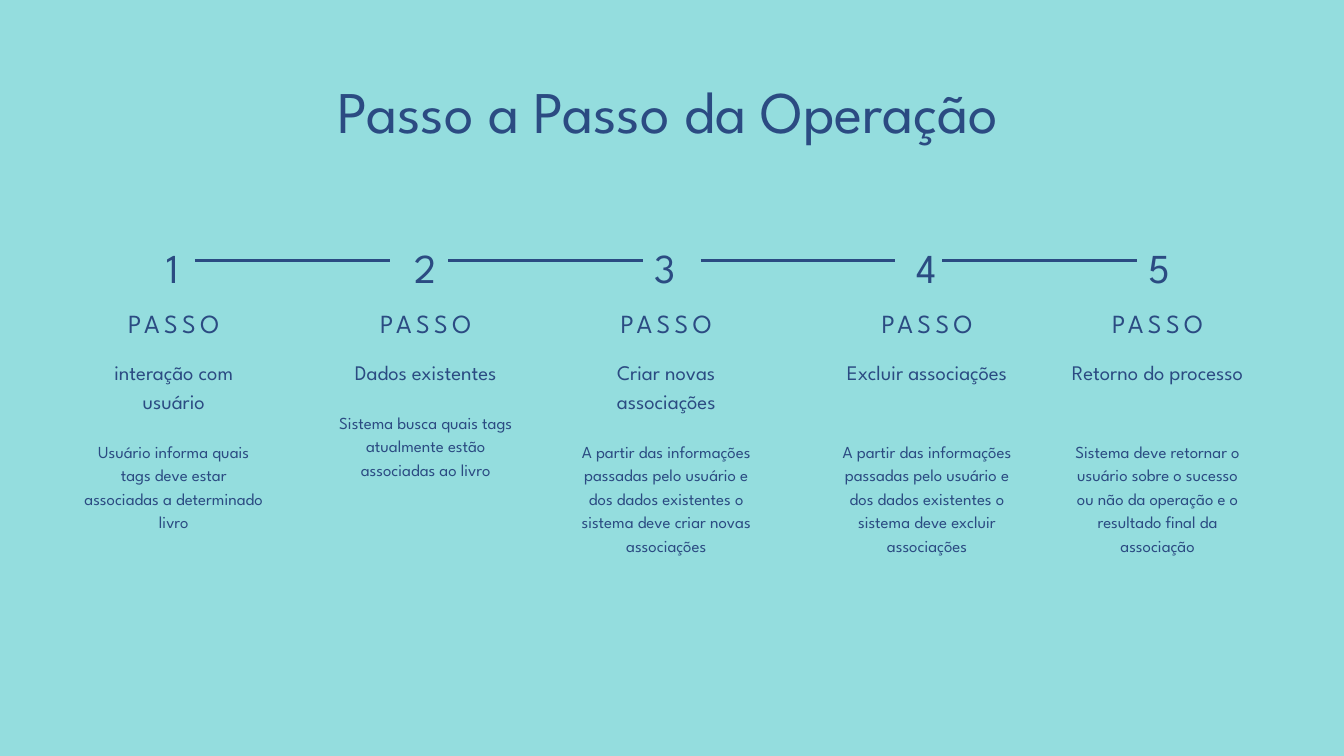
from dataclasses import dataclass

from lxml.etree import SubElement
from pptx import Presentation
from pptx.dml.color import RGBColor
from pptx.enum.shapes import MSO_CONNECTOR as Connector
from pptx.enum.text import MSO_ANCHOR as Anchor, PP_ALIGN as Align
from pptx.oxml.ns import qn
from pptx.util import Pt

COLORS = {"background": "94DDDE", "ink": "2B4B82"}
FONT = "League Spartan"


@dataclass(frozen=True)
class Style:
    size: float
    leading: float
    spacing: float = 0


@dataclass(frozen=True)
class Step:
    left: float
    number_left: float
    heading: str
    body: str
    heading_lines: int = 2
    body_lines: int = 5


TITLE = Style(63.2, 75.9)
NUMBER = Style(44, 61.6, 7.5)
LABEL = Style(28, 39.2, 4.8)
HEADING = Style(22.2, 31.1)
BODY = Style(18, 25.2)

# Rows and column sizes
NUMBER_TOP, LABEL_TOP, HEADING_TOP = 250.6, 323.3, 380.9
BODY_GAP = 26.4
STEP_WIDTH, NUMBER_WIDTH = 193.7, 47.5
LINE_Y, LINE_LENGTH = 279.5, 208.8
LINE_STARTS = (208.8, 480.2, 750.6, 1009.4)

STEPS = (
    Step(89.3, 161.3, "interação com usuário",
         "Usuário informa quais tags deve estar associadas a determinado livro",
         body_lines=4),
    Step(359.3, 432, "Dados existentes",
         "Sistema busca quais tags atualmente estão associadas ao livro",
         heading_lines=1, body_lines=3),
    Step(617, 689, "Criar novas associações",
         "A partir das informações passadas pelo usuário e dos dados existentes "
         "o sistema deve criar novas associações"),
    Step(896.4, 969.1, "Excluir associações",
         "A partir das informações passadas pelo usuário e dos dados existentes "
         "o sistema deve excluir associações"),
    Step(1143.4, 1218.2, "Retorno do processo",
         "Sistema deve retornar o usuário sobre o sucesso ou não da operação "
         "e o resultado final da associação"),
)


def rgb(name: str) -> RGBColor:
    return RGBColor.from_string(COLORS[name])


def write(sp, text: str, style: Style) -> None:
    tf = sp.text_frame
    tf.word_wrap = True
    tf.vertical_anchor = Anchor.TOP
    tf.margin_left = tf.margin_top = tf.margin_right = tf.margin_bottom = 0
    p = tf.paragraphs[0]
    p.alignment = Align.CENTER
    p.line_spacing = Pt(style.leading)
    p.font.name = FONT
    p.font.size = Pt(style.size)
    p.font.color.rgb = rgb("ink")
    r = p.add_run()
    r.text = text
    if style.spacing:
        r._r.get_or_add_rPr().set("spc", str(round(style.spacing * 100)))


def add_text(s, left: float, top: float, width: float, text: str,
             style: Style, lines: int = 1) -> None:
    sp = s.shapes.add_textbox(Pt(left), Pt(top), Pt(width),
                              Pt(style.leading * lines))
    write(sp, text, style)


def add_step(s, number: int, step: Step) -> None:
    add_text(s, step.number_left, NUMBER_TOP, NUMBER_WIDTH, str(number), NUMBER)
    add_text(s, step.left, LABEL_TOP, STEP_WIDTH, "PASSO", LABEL)
    add_text(s, step.left, HEADING_TOP, STEP_WIDTH, step.heading, HEADING,
             step.heading_lines)
    body_top = HEADING_TOP + step.heading_lines * HEADING.leading + BODY_GAP
    add_text(s, step.left, body_top, STEP_WIDTH, step.body, BODY,
             step.body_lines)


def add_line(s, left: float) -> None:
    line = s.shapes.add_connector(Connector.STRAIGHT, Pt(left), Pt(LINE_Y),
                                  Pt(left + LINE_LENGTH), Pt(LINE_Y))
    line.line.color.rgb = rgb("ink")
    line.line.width = Pt(3)
    SubElement(line._element.spPr, qn("a:effectLst"))


def main() -> None:
    prs = Presentation()
    prs.slide_width, prs.slide_height = Pt(1440), Pt(810)
    s = prs.slides.add_slide(prs.slide_layouts[5])
    s.background.fill.solid()
    s.background.fill.fore_color.rgb = rgb("background")

    # Title
    title = s.shapes.title
    title.left, title.top = Pt(80.6), Pt(79.9)
    title.width, title.height = Pt(1270.8), Pt(76.3)
    write(title, "Passo a Passo da Operação", TITLE)

    # Numbered steps and the lines between them
    for number, step in enumerate(STEPS, 1):
        add_step(s, number, step)
    for left in LINE_STARTS:
        add_line(s, left)

    prs.save("out.pptx")


if __name__ == "__main__":
    main()
